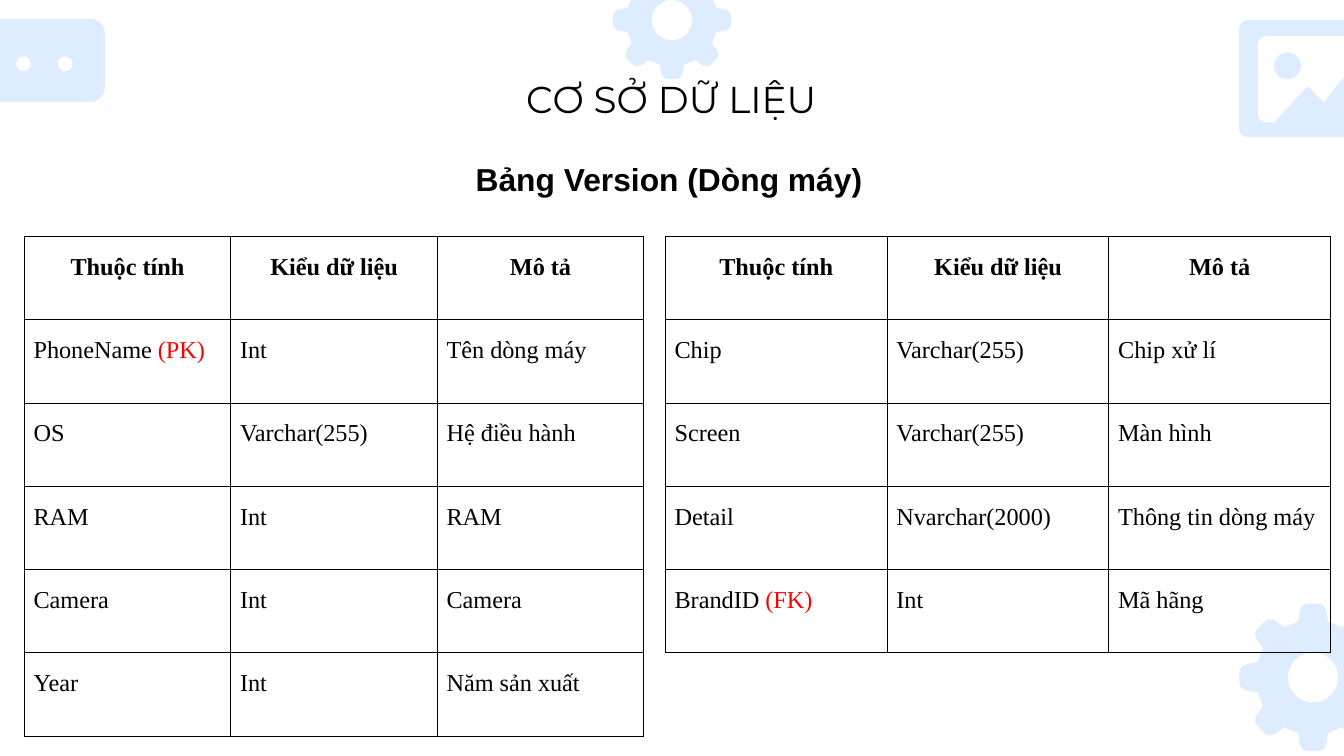
from math import cos, radians, sin

from lxml.etree import SubElement
from pptx import Presentation
from pptx.dml.color import RGBColor
from pptx.enum.shapes import MSO_SHAPE
from pptx.enum.text import MSO_ANCHOR, PP_ALIGN
from pptx.oxml.ns import qn
from pptx.util import Inches, Pt

BLACK, WHITE, RED, PALE_BLUE = "000000", "FFFFFF", "FF0000", "DDECFF"

HEADER = ["Thuộc tính", "Kiểu dữ liệu", "Mô tả"]
LEFT_ROWS = [
    [("PhoneName ", "(PK)"), "Int", "Tên dòng máy"],
    ["OS", "Varchar(255)", "Hệ điều hành"],
    ["RAM", "Int", "RAM"],
    ["Camera", "Int", "Camera"],
    ["Year", "Int", "Năm sản xuất"],
]
RIGHT_ROWS = [
    ["Chip", "Varchar(255)", "Chip xử lí"],
    ["Screen", "Varchar(255)", "Màn hình"],
    ["Detail", "Nvarchar(2000)", "Thông tin dòng máy"],
    [("BrandID ", "(FK)"), "Int", "Mã hãng"],
]


def color(hex_value):
    return RGBColor.from_string(hex_value)


class SlideBuilder:
    """Holds the table style and the slide being drawn."""

    table_font = "Times New Roman"
    table_size = 13
    row_height = 0.62
    border_width = 0.6
    line_spacing = 1.15

    def __init__(self, slide):
        self.slide = slide

    def paint(self, shape, fill):
        shape.fill.solid()
        shape.fill.fore_color.rgb = color(fill)
        shape.line.fill.background()
        shape.shadow.inherit = False

    def preset(self, kind, left, top, width, height, fill, radius=None):
        shape = self.slide.shapes.add_shape(
            kind, Inches(left), Inches(top), Inches(width), Inches(height))
        if radius:
            shape.adjustments[0] = radius / min(width, height)
        self.paint(shape, fill)

    def outline(self, contours, fill):
        """Draw closed contours as one shape; an inner contour is a hole."""
        contours = [[(Inches(x), Inches(y)) for x, y in points] for points in contours]
        builder = self.slide.shapes.build_freeform(*contours[0][0])
        builder.add_line_segments(contours[0][1:], close=True)
        for points in contours[1:]:
            builder.move_to(*points[0])
            builder.add_line_segments(points[1:], close=True)
        self.paint(builder.convert_to_shape(), fill)

    def gear(self, center_x, center_y, radius, teeth=8):
        def polar(share, degrees):
            angle = radians(degrees)
            return (center_x + radius * share * sin(angle),
                    center_y - radius * share * cos(angle))

        flank = [(0.78, 15), (0.91, 11.5), (0.96, 9.5), (0.99, 7), (1, 4)]
        tooth = ([(share, -angle) for share, angle in flank]
                 + list(reversed(flank)))
        rim = [polar(share, angle + index * 360 / teeth)
               for index in range(teeth) for share, angle in tooth]
        hole = [polar(0.34, -angle) for angle in range(0, 360, 6)]
        self.outline([rim, hole], PALE_BLUE)

    def span(self, para, text, font, size, hex_value=BLACK, bold=False):
        run = para.add_run()
        run.text = text
        run.font.name = font
        run.font.size = Pt(size)
        run.font.bold = bold
        run.font.color.rgb = color(hex_value)

    def text(self, left, top, width, height, content, font, size, align,
             bold=False, anchor=MSO_ANCHOR.TOP):
        box = self.slide.shapes.add_textbox(
            Inches(left), Inches(top), Inches(width), Inches(height))
        frame = box.text_frame
        frame.word_wrap = True
        frame.vertical_anchor = anchor
        frame.margin_left = frame.margin_right = Inches(0.1)
        frame.margin_top = frame.margin_bottom = Inches(0.1)
        para = frame.paragraphs[0]
        para.alignment = align
        self.span(para, content, font, size, bold=bold)
        return para

    def border(self, cell):
        properties = cell._tc.get_or_add_tcPr()
        for side in ("a:lnL", "a:lnR", "a:lnT", "a:lnB"):
            line = SubElement(properties, qn(side), w=str(Pt(self.border_width)))
            fill = SubElement(line, qn("a:solidFill"))
            SubElement(fill, qn("a:srgbClr"), val=BLACK)

    def fill_cell(self, cell, content, is_header):
        self.border(cell)
        cell.fill.background()
        cell.margin_left = cell.margin_right = Inches(0.07)
        cell.margin_top = cell.margin_bottom = Inches(0.1)
        para = cell.text_frame.paragraphs[0]
        para.alignment = PP_ALIGN.CENTER if is_header else PP_ALIGN.LEFT
        para.line_spacing = self.line_spacing
        para.space_before = Pt(12)
        name, *key = (content,) if isinstance(content, str) else content
        self.span(para, name, self.table_font, self.table_size, bold=is_header)
        for mark in key:
            self.span(para, mark, self.table_font, self.table_size, RED)

    def table(self, left, top, width, rows):
        rows = [HEADER] + rows
        table = self.slide.shapes.add_table(
            len(rows), len(HEADER), Inches(left), Inches(top),
            Inches(width), Inches(self.row_height * len(rows))).table
        table.first_row = table.horz_banding = False
        for column in table.columns:
            column.width = Inches(width / len(HEADER))
        for row_index, row in enumerate(rows):
            table.rows[row_index].height = Inches(self.row_height)
            for column_index, content in enumerate(row):
                self.fill_cell(table.cell(row_index, column_index), content,
                               row_index == 0)

    def speech_bubble(self):
        self.preset(MSO_SHAPE.ROUNDED_RECTANGLE, -0.44, 0.14, 1.22, 0.62,
                    PALE_BLUE, radius=0.11)
        for left in (0.12, 0.43):
            self.preset(MSO_SHAPE.OVAL, left, 0.42, 0.11, 0.11, WHITE)

    def photo_icon(self):
        self.preset(MSO_SHAPE.ROUNDED_RECTANGLE, 9.22, 0.15, 1.22, 0.87,
                    PALE_BLUE, radius=0.06)
        self.preset(MSO_SHAPE.ROUNDED_RECTANGLE, 9.36, 0.27, 0.95, 0.64,
                    WHITE, radius=0.06)
        self.outline([[(10.1, 0.45), (9.85, 0.76), (10, 0.91), (10.25, 0.91),
                       (10.31, 0.85), (10.31, 0.73)]], PALE_BLUE)
        self.outline([[(9.73, 0.64), (9.48, 0.91), (10, 0.91), (9.85, 0.76)]],
                     PALE_BLUE)
        self.preset(MSO_SHAPE.OVAL, 9.48, 0.39, 0.2, 0.2, PALE_BLUE)


def main():
    deck = Presentation()
    deck.slide_width = Inches(10)
    deck.slide_height = deck.slide_width * 9 // 16
    page = SlideBuilder(deck.slides.add_slide(deck.slide_layouts[6]))

    page.gear(9.77, 5.04, 0.55)
    page.gear(5, 0.15, 0.44)
    page.speech_bubble()
    page.photo_icon()

    page.text(1.4, 0.47, 7.19, 0.59, "CƠ SỞ DỮ LIỆU", "Montserrat", 20,
              PP_ALIGN.CENTER)
    page.table(0.18, 1.76, 4.61, LEFT_ROWS)
    subtitle = page.text(3.44, 1.06, 3.11, 0.5, "Bảng Version (Dòng máy)",
                         "Arial", 17, PP_ALIGN.JUSTIFY, bold=True,
                         anchor=MSO_ANCHOR.MIDDLE)
    subtitle.line_spacing = page.line_spacing
    subtitle.space_before, subtitle.space_after = Pt(18), Pt(4)
    page.table(4.95, 1.76, 4.95, RIGHT_ROWS)

    deck.save("out.pptx")


if __name__ == "__main__":
    main()
